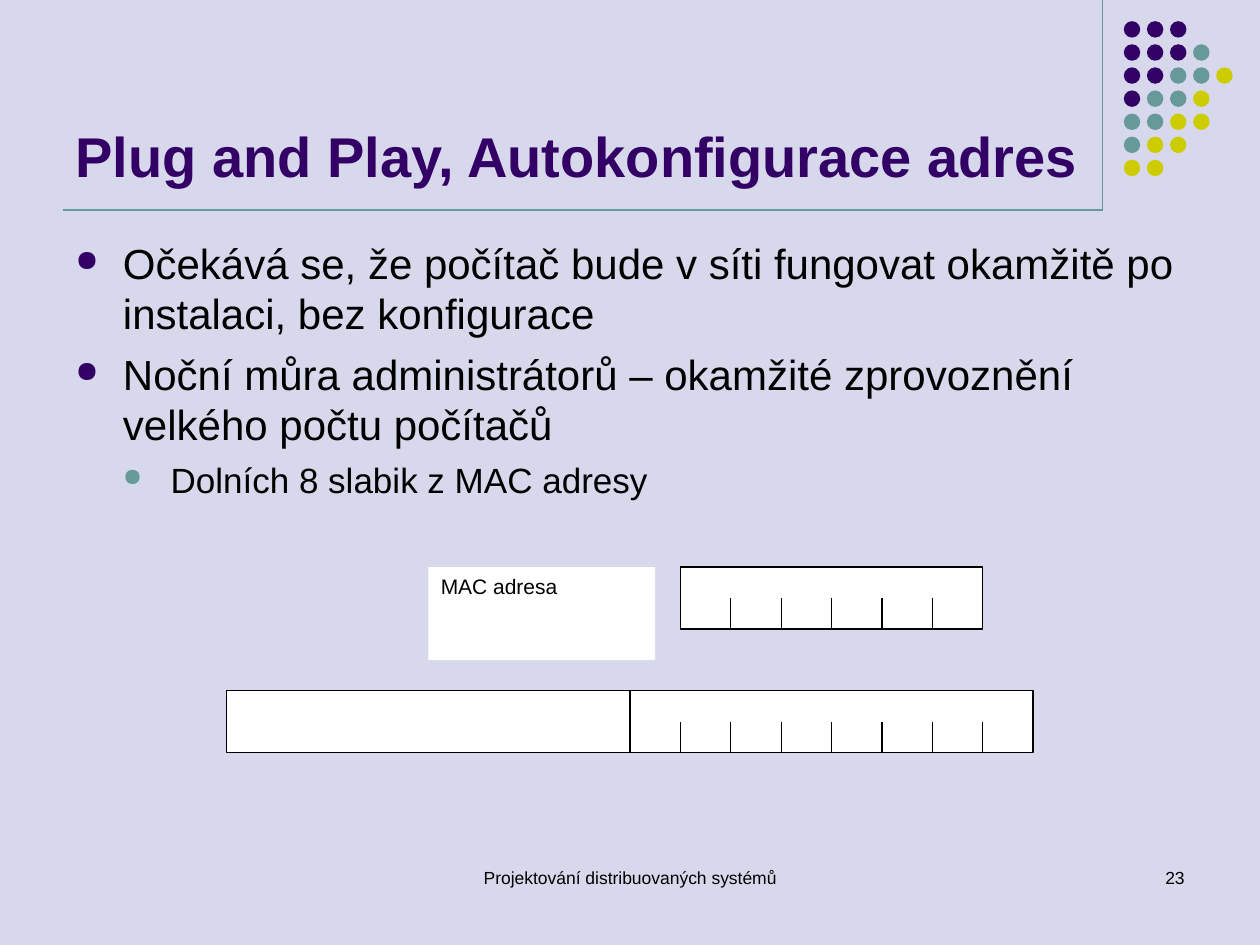
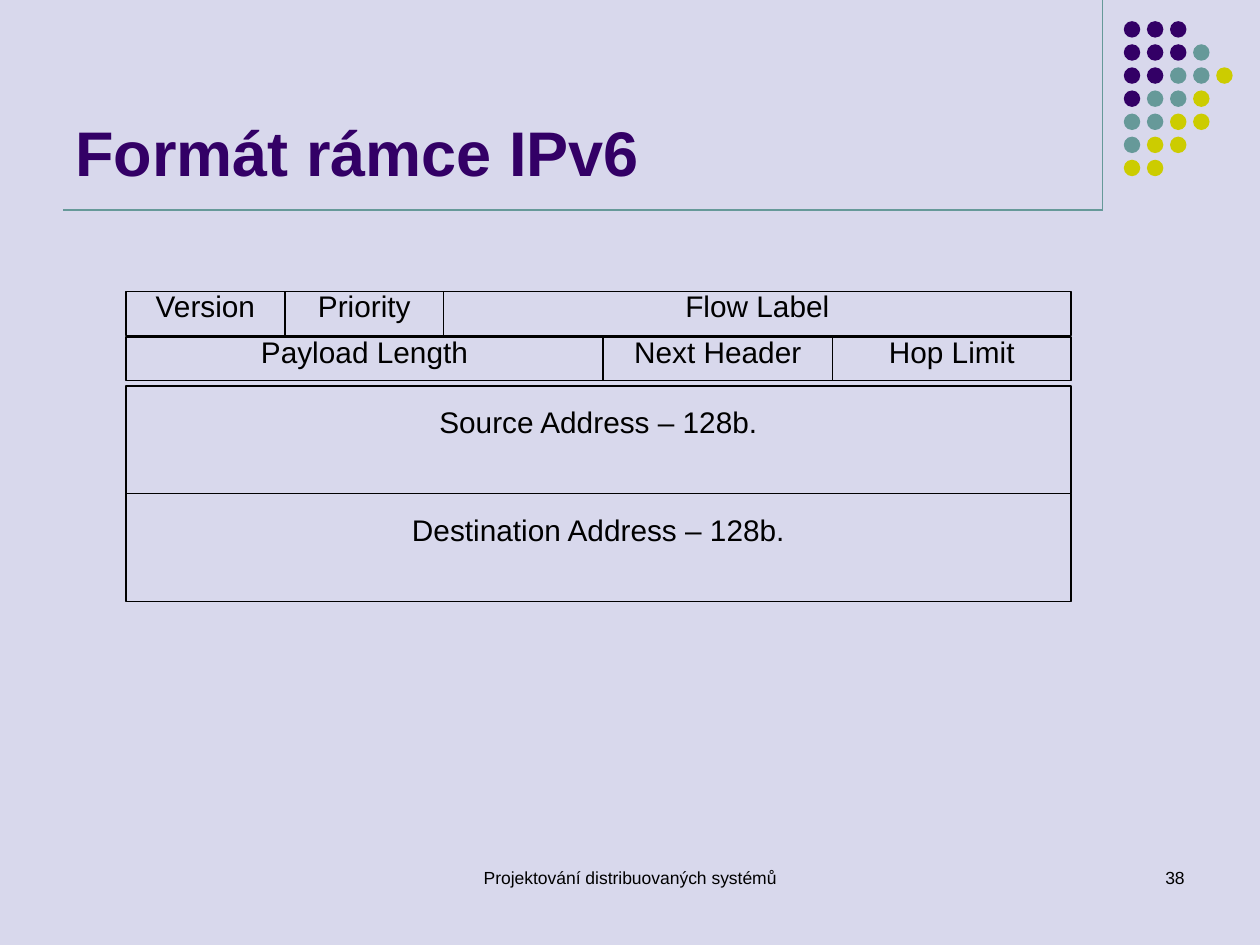
import dataclasses

import lxml.etree
import pptx
import pptx.dml.color
import pptx.enum.shapes
import pptx.enum.text
import pptx.oxml.ns
import pptx.util

Pt = pptx.util.Pt
RGB = pptx.dml.color.RGBColor.from_string
qn = pptx.oxml.ns.qn
ALIGN = pptx.enum.text.PP_ALIGN
ANCHOR = pptx.enum.text.MSO_ANCHOR
SHAPE = pptx.enum.shapes.MSO_SHAPE


@dataclasses.dataclass(frozen=True)
class Theme:
    background: str = "D8D8EC"
    purple: str = "330066"
    teal: str = "669999"
    yellow: str = "CCCC00"
    ink: str = "000000"
    paper: str = "FFFFFF"
    font: str = "Arial"
    bullet_size: int = 24
    sub_bullet_size: int = 20
    field_size: int = 17
    caption_size: int = 12
    footer_size: int = 10
    line_width: float = 0.75


theme = Theme()


def add_line(slide, x1, y1, x2, y2, color=theme.ink):
    line = slide.shapes.add_connector(
        pptx.enum.shapes.MSO_CONNECTOR.STRAIGHT, Pt(x1), Pt(y1), Pt(x2), Pt(y2)
    )
    line.line.color.rgb = RGB(color)
    line.line.width = Pt(theme.line_width)
    lxml.etree.SubElement(line._element.spPr, qn("a:effectLst"))


def add_box(slide, x, y, w, h, kind=None, fill=None, outline=None, text="", size=12,
            color=theme.ink, bold=False, align=ALIGN.LEFT, anchor=ANCHOR.TOP,
            margins=(7.2, 3.6)):
    area = Pt(x), Pt(y), Pt(w), Pt(h)
    if kind is None:
        box = slide.shapes.add_textbox(*area)
    else:
        box = slide.shapes.add_shape(kind, *area)
        box.shadow.inherit = False
        if fill:
            box.fill.solid()
            box.fill.fore_color.rgb = RGB(fill)
        else:
            box.fill.background()
        if outline:
            box.line.color.rgb = RGB(outline)
            box.line.width = Pt(theme.line_width)
        else:
            box.line.fill.background()
    if text:
        frame = box.text_frame
        frame.word_wrap = True
        frame.vertical_anchor = anchor
        frame.margin_left = frame.margin_right = Pt(margins[0])
        frame.margin_top = Pt(margins[1])
        frame.margin_bottom = Pt(3.6)
        frame.text = text
        for paragraph in frame.paragraphs:
            paragraph.alignment = align
            font = paragraph.runs[0].font
            font.name = theme.font
            font.size = Pt(size)
            font.bold = bold
            font.color.rgb = RGB(color)
    return box


prs = pptx.Presentation()
prs.slide_width = Pt(720)
prs.slide_height = Pt(540)
master_fill = prs.slide_master.background.fill
master_fill.solid()
master_fill.fore_color.rgb = RGB(theme.background)

dot_rows = ["PPP", "PPPT", "PPTTY", "PTTY", "TTYY", "TYY", "YY"]
dot_colors = {"P": theme.purple, "T": theme.teal, "Y": theme.yellow}
dot_pitch = 13.2
headings = [("Plug and Play, Autokonfigurace adres", 32, "23"), ("Formát rámce IPv6", 36, "38")]
slides = []
for title, title_size, number in headings:
    slide = prs.slides.add_slide(prs.slide_layouts[6])
    slides.append(slide)
    add_line(slide, 630, 0, 630, 120, theme.teal)
    for row, letters in enumerate(dot_rows):
        for column, letter in enumerate(letters):
            add_box(slide, 642.2 + column * dot_pitch, 12.1 + row * dot_pitch, 9.4, 9.4,
                    SHAPE.OVAL, dot_colors[letter])
    add_line(slide, 36, 120, 630, 120, theme.teal)
    add_box(slide, 36, 9.5, 594, 102, text=title, size=title_size, color=theme.purple,
            bold=True, anchor=ANCHOR.BOTTOM)
    add_box(slide, 246, 492, 228, 36, text="Projektování distribuovaných systémů",
            size=theme.footer_size, align=ALIGN.CENTER)
    add_box(slide, 516, 492, 168, 36, text=number, size=theme.footer_size, align=ALIGN.RIGHT)

autoconfig, frame_format = slides

bullets = [
    (0, "Očekává se, že počítač bude v síti fungovat okamžitě po instalaci, bez konfigurace"),
    (0, "Noční můra administrátorů – okamžité zprovoznění velkého počtu počítačů"),
    (1, "Dolních 8 slabik z MAC adresy"),
]
levels = [(theme.bullet_size, 6, theme.purple), (theme.sub_bullet_size, 5, theme.teal)]
body = add_box(autoconfig, 36, 132, 648, 162, text="\n".join(text for _, text in bullets))
for paragraph, (level, _) in zip(body.text_frame.paragraphs, bullets):
    size, space_before, bullet_color = levels[level]
    paragraph.level = level
    paragraph.space_before = Pt(space_before)
    paragraph.runs[0].font.size = Pt(size)
    properties = paragraph._p.get_or_add_pPr()
    properties.set("marL", str(Pt(27.2 * (level + 1))))
    properties.set("indent", str(Pt(-27.2)))
    color_node = lxml.etree.SubElement(properties, qn("a:buClr"))
    lxml.etree.SubElement(color_node, qn("a:srgbClr"), val=bullet_color)
    lxml.etree.SubElement(properties, qn("a:buSzPct"), val="70000")
    lxml.etree.SubElement(properties, qn("a:buChar"), char="●")

byte_width = 28.8
strip_height = 35.5
ipv6_left, ipv6_top, ipv6_middle = 129.6, 394.7, 360
mac_left, mac_top = 388.8, 324
add_box(autoconfig, ipv6_left, ipv6_top, 16 * byte_width, strip_height, SHAPE.RECTANGLE,
        theme.paper, theme.ink)
add_line(autoconfig, ipv6_middle, ipv6_top, ipv6_middle, ipv6_top + strip_height)
add_box(autoconfig, mac_left, mac_top, 6 * byte_width, strip_height, SHAPE.RECTANGLE,
        theme.paper, theme.ink)
for left, top, byte_count in [(ipv6_middle, ipv6_top, 8), (mac_left, mac_top, 6)]:
    for byte in range(1, byte_count):
        x = left + byte * byte_width
        add_line(autoconfig, x, top + strip_height / 2, x, top + strip_height)
add_box(autoconfig, 244.8, mac_top, 129.6, 53.2, SHAPE.RECTANGLE, theme.paper,
        text="MAC adresa", size=theme.caption_size)

header_rows = [
    (166.8, 25, 5, 2.9, [("Version", 90.8), ("Priority", 90.8), ("Flow Label", 358.4)]),
    (192.6, 25, 5, 2.9, [("Payload Length", 272.6), ("Next Header", 131.2), ("Hop Limit", 136.2)]),
    (220.5, 61.7, 12.3, 22.4, [("Source Address – 128b.", 540)]),
    (282.2, 61.7, 12.3, 22.4, [("Destination Address – 128b.", 540)]),
]
for top, height, label_rise, label_margin, fields in header_rows:
    left = 72
    for label, width in fields:
        add_box(frame_format, left, top, width, height, SHAPE.RECTANGLE, outline=theme.ink)
        add_box(frame_format, left, top - label_rise, width, height + 5, text=label,
                size=theme.field_size, align=ALIGN.CENTER, margins=(5, label_margin))
        left += width

prs.save("out.pptx")
